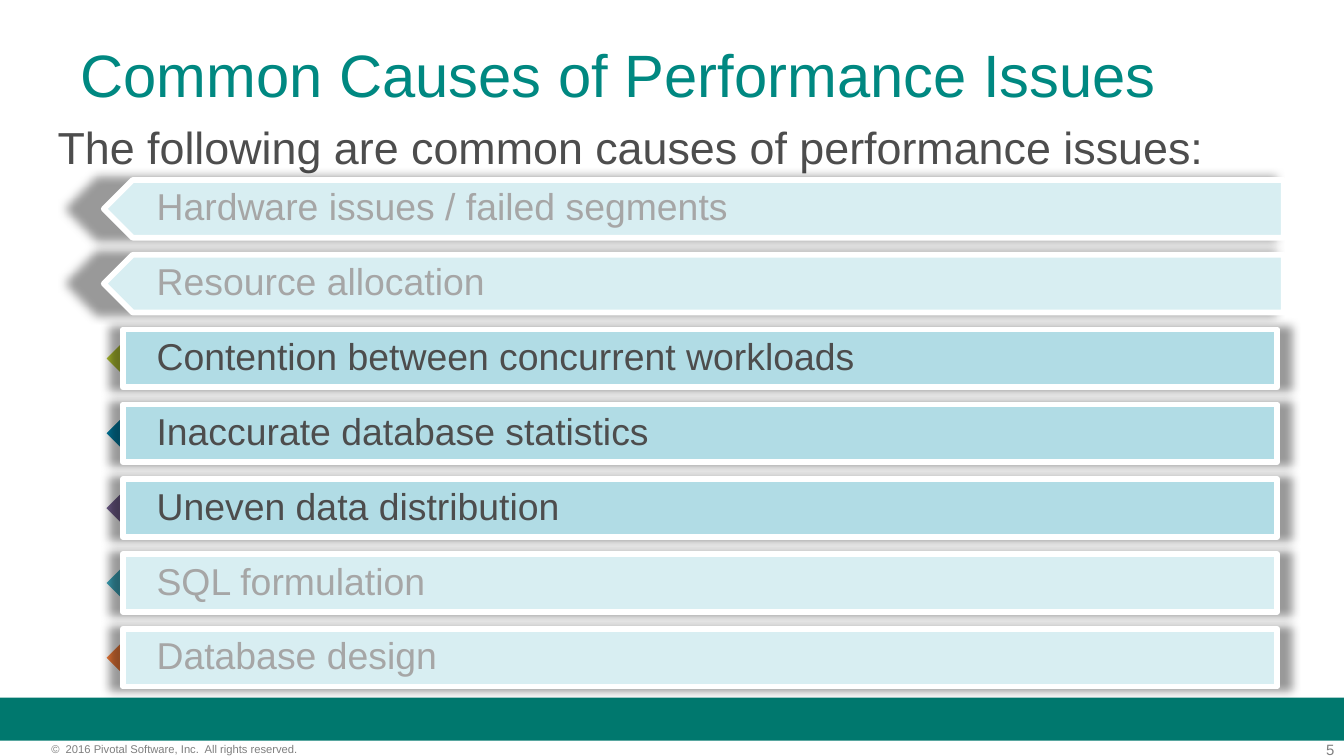
from collections import namedtuple

from lxml import etree
from pptx import Presentation
from pptx.dml.color import RGBColor
from pptx.enum import shapes, text
from pptx.oxml import ns
from pptx.util import Cm, Pt

Box = namedtuple("Box", "left top width height")

TEAL, BAND, WHITE = "008881", "00786E", "FFFFFF"
INK, MUTED, FOOTNOTE = "4D4D4D", "A6A6A6", "7F7F7F"
BRIGHT, PALE = "B1DCE5", "D8EEF2"

# Cause, arrow colour (None: the whole bar is an arrow), highlighted
CAUSES = [
    ("Hardware issues / failed segments", None, False),
    ("Resource allocation", None, False),
    ("Contention between concurrent workloads", "AEBF2F", True),
    ("Inaccurate database statistics", "007CA2", True),
    ("Uneven data distribution", "705D8B", True),
    ("SQL formulation", "3EA7BC", False),
    ("Database design", "F27C3A", False),
]


def colour(value):
    return RGBColor.from_string(value)


def lengths(box):
    return [Cm(value) for value in box]


def write(shape, words, size, ink, insets=(0.25, 0.13, 0.25, 0.13),
          anchor=text.MSO_ANCHOR.TOP, align=text.PP_ALIGN.LEFT, spacing=1.0):
    frame = shape.text_frame
    frame.word_wrap = True
    frame.auto_size = text.MSO_AUTO_SIZE.NONE
    frame.vertical_anchor = anchor
    (frame.margin_left, frame.margin_top,
     frame.margin_right, frame.margin_bottom) = [Cm(value) for value in insets]
    frame.text = words
    para = frame.paragraphs[0]
    para.alignment = align
    para.line_spacing = spacing
    para.font.name = "Arial"
    para.font.size = Pt(size)
    para.font.color.rgb = colour(ink)


def add_text(page, box, words, size, ink, **options):
    shape = page.shapes.add_textbox(*lengths(box))
    write(shape, words, size, ink, **options)


def add_block(page, kind, box, fill, line_width=0):
    shape = page.shapes.add_shape(kind, *lengths(box))
    shape.shadow.inherit = False
    shape.fill.solid()
    shape.fill.fore_color.rgb = colour(fill)
    if line_width:
        shape.line.color.rgb = colour(WHITE)
        shape.line.width = Pt(line_width)
    else:
        shape.line.fill.background()
    return shape


def add_arrow(page, box, fill, line_width):
    arrow = add_block(page, shapes.MSO_SHAPE.PENTAGON, box, fill, line_width)
    arrow.rotation = 180
    return arrow


def add_glow(shape):
    """Give the shape a soft shadow, slightly larger than itself."""
    effects = shape._element.spPr.find(ns.qn("a:effectLst"))
    shadow = etree.SubElement(
        effects, ns.qn("a:outerShdw"), blurRad=str(Pt(5)),
        sx="102000", sy="102000", algn="ctr", rotWithShape="0")
    black = etree.SubElement(shadow, ns.qn("a:srgbClr"), val="000000")
    etree.SubElement(black, ns.qn("a:alpha"), val="40000")


def add_heading(page, box):
    title = page.shapes.title
    title.left, title.top, title.width, title.height = lengths(box)
    write(title, "Common Causes of Performance Issues", 32, TEAL)


def add_cause(page, box, words, arrow_fill, highlighted):
    fill, ink = (BRIGHT, INK) if highlighted else (PALE, MUTED)
    label = Box(box.left + 0.36, box.top, box.width - 0.48, box.height)
    style = dict(insets=(0.64, 0.25, 0.48, 0.25),
                 anchor=text.MSO_ANCHOR.MIDDLE, spacing=0.9)
    if arrow_fill is None:
        add_glow(add_arrow(page, box, fill, 3))
        add_text(page, label._replace(width=14), words, 20, ink, **style)
    else:
        add_arrow(page, box._replace(width=16.89), arrow_fill, 2)
        bar = add_block(page, shapes.MSO_SHAPE.RECTANGLE, label, fill, 3)
        add_glow(bar)
        write(bar, words, 20, ink, **style)


def add_causes(page, box):
    bar_height = 1.09
    pitch = (box.height - bar_height) / (len(CAUSES) - 1)
    for row, cause in enumerate(CAUSES):
        place = Box(box.left, box.top + row * pitch, box.width, bar_height)
        add_cause(page, place, *cause)


def add_footer(page, box):
    # Coloured band, then copyright and page number below it
    add_block(page, shapes.MSO_SHAPE.RECTANGLE, box._replace(height=0.81), BAND)
    add_text(page, Box(box.left + 0.97, box.top + 0.84, 6.32, 0.25),
             "©  2016 Pivotal Software, Inc.  All rights reserved.",
             6, FOOTNOTE, insets=(0, 0, 0, 0))
    add_text(page, Box(box.left + box.width - 1.65, box.top + 0.81, 1.47, 0.33),
             "5", 8, FOOTNOTE, insets=(0, 0, 0, 0), align=text.PP_ALIGN.RIGHT)


def main():
    deck = Presentation()
    deck.slide_width, deck.slide_height = Cm(25.4), Cm(14.28)
    page = deck.slides.add_slide(deck.slide_layouts[5])
    add_footer(page, Box(0, 13.18, 25.4, 1.1))
    add_heading(page, Box(1.27, 0.58, 22.86, 2.39))
    add_text(page, Box(0.84, 2.13, 23.5, 10.8),
             "The following are common causes of performance issues:", 24, INK)
    add_causes(page, Box(1.96, 3.4, 22.3, 9.57))
    deck.save("out.pptx")


if __name__ == "__main__":
    main()
